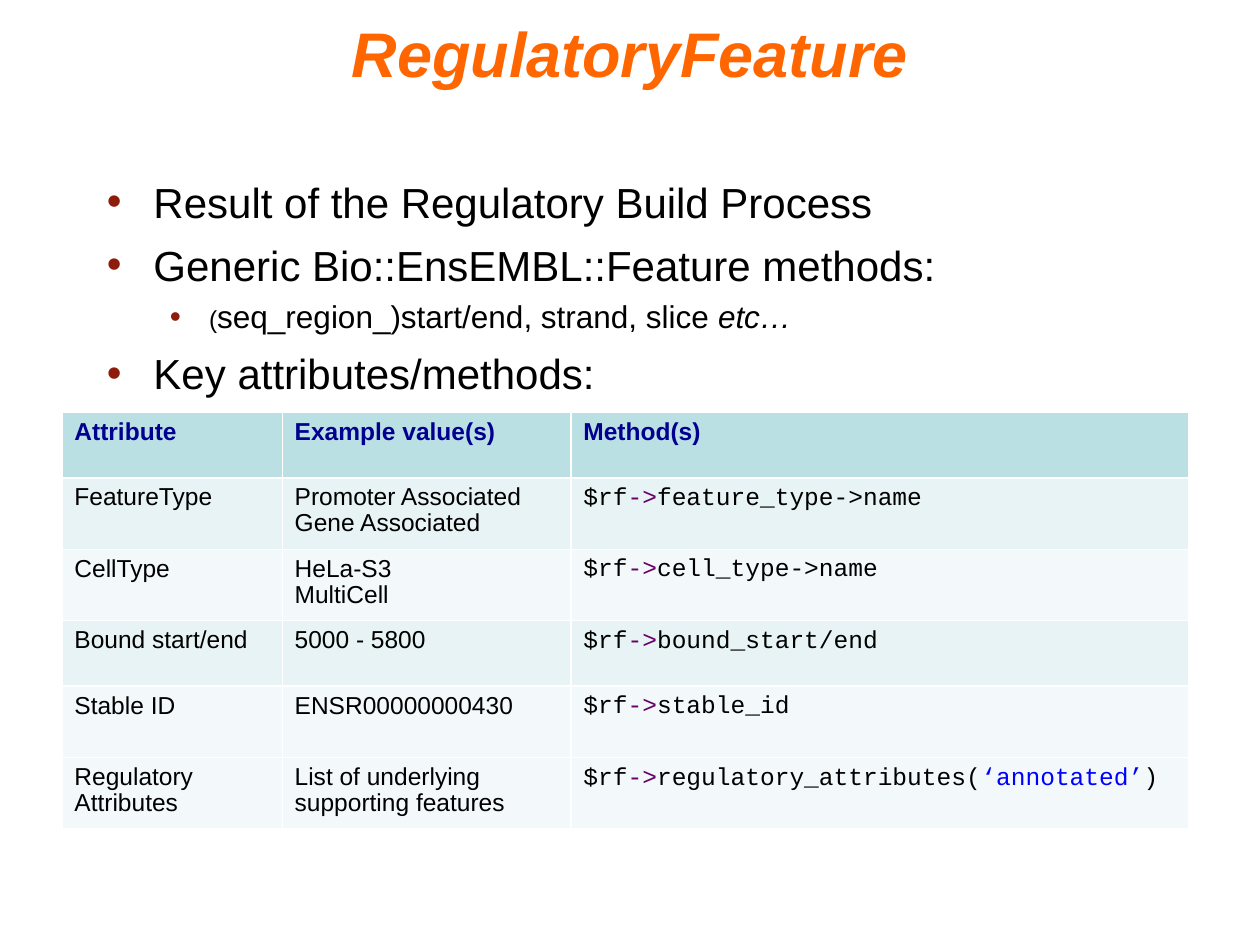
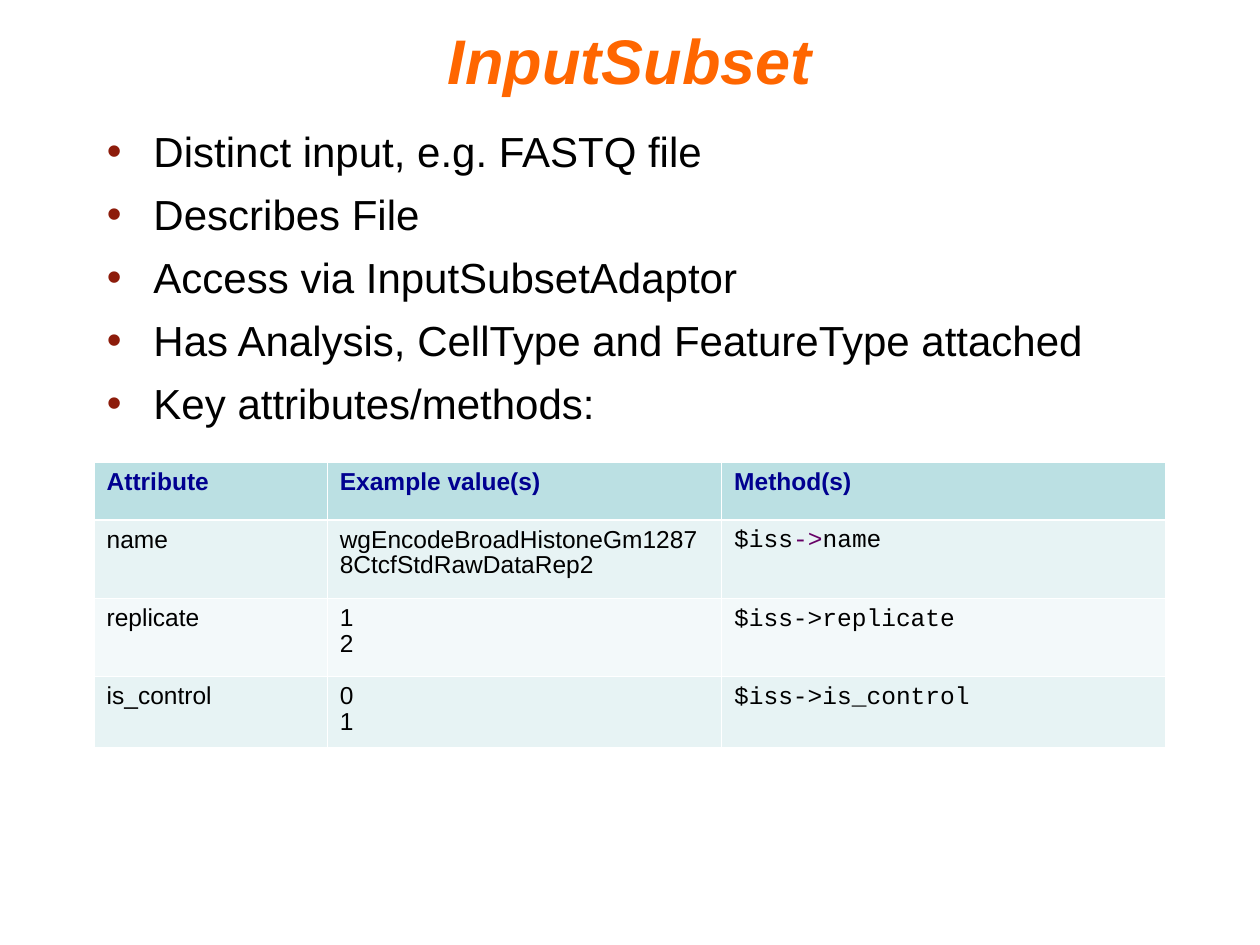
from lxml.etree import SubElement as Sub
from pptx import Presentation
from pptx.dml.color import RGBColor
from pptx.enum.text import MSO_ANCHOR as Anchor, MSO_AUTO_SIZE as AutoSize, PP_ALIGN as Align
from pptx.oxml.ns import qn
from pptx.util import Cm, Pt

SANS, MONO = "Arial", "Courier New"
BLACK, WHITE, ORANGE, RUST = "000000", "FFFFFF", "FF6600", "8D1C0B"
NAVY, PURPLE, BLUE = "000090", "660066", "0000FF"
HEADER, TINT, PALE = "BBE0E3", "E7F3F4", "F3F9FA"
COLUMN_NAMES = ["Attribute", "Example value(s)", "Method(s)"]
KEY_METHODS = "Key attributes/methods:"


def rgb(color):
    return RGBColor.from_string(color)


def add_span(para, text, size=14, font=SANS, color=BLACK, bold=False, italic=False):
    span = para.add_run()
    span.text = text
    span.font.size = Pt(size)
    span.font.name = font
    span.font.color.rgb = rgb(color)
    span.font.bold = bold
    span.font.italic = italic


def paragraphs(frame, count):
    while len(frame.paragraphs) < count:
        frame.add_paragraph()
    return frame.paragraphs


def call(variable, method, argument=None):
    spans = [(variable, BLACK), ("->", PURPLE), (method, BLACK)]
    if argument:
        spans += [("(", BLACK), (argument, BLUE), (")", BLACK)]
    return spans


def plain_call(text):
    return [(text, BLACK)]


class SlideBuilder:
    left, width = 1.9, 21.6
    levels = [
        {"margin": 0.94, "indent": -0.94, "before": 7.2, "bullet": 100},
        {"margin": 2.06, "indent": -0.79, "before": 4.5, "bullet": 129},
    ]

    def __init__(self):
        self.deck = Presentation()
        self.deck.slide_width, self.deck.slide_height = Cm(25.4), Cm(19.05)
        self.page = None

    def new_page(self):
        self.page = self.deck.slides.add_slide(self.deck.slide_layouts[1])

    def place(self, index, top, height, inset):
        box = self.page.placeholders[index]
        box.left, box.top = Cm(self.left), Cm(top)
        box.width, box.height = Cm(self.width), Cm(height)
        frame = box.text_frame
        frame.word_wrap = True
        frame.auto_size = AutoSize.NONE
        frame.vertical_anchor = Anchor.TOP
        frame.margin_top = Cm(inset)
        return frame

    def title(self, text, top):
        para = self.place(0, top, 2.54, 0.3).paragraphs[0]
        para.alignment = Align.CENTER
        add_span(para, text, size=36, color=ORANGE, bold=True, italic=True)

    def bullets(self, items, top, height):
        frame = self.place(1, top, height, 0.22)
        for number, (para, item) in enumerate(zip(paragraphs(frame, len(items)), items)):
            nested = not isinstance(item, str)
            self.bullet(para, int(nested), first=number == 0)
            for text, style in item if nested else [(item, {"size": 24})]:
                add_span(para, text, **style)

    def bullet(self, para, level, first):
        style = self.levels[level]
        para.level = level
        props = para._p.get_or_add_pPr()
        props.set("marL", str(Cm(style["margin"])))
        props.set("indent", str(Cm(style["indent"])))
        Sub(Sub(props, qn("a:buClr")), qn("a:srgbClr"), val=RUST)
        Sub(props, qn("a:buSzPct"), val=str(style["bullet"] * 1000))
        Sub(props, qn("a:buFont"), typeface=SANS)
        Sub(props, qn("a:buChar"), char="•")
        para.space_before = Pt(0 if first else style["before"])

    def table(self, left, top, widths, heights, rows, fills):
        grid = self.page.shapes.add_table(
            len(heights), len(widths), Cm(left), Cm(top), Cm(sum(widths)), Cm(sum(heights))
        ).table
        for column, width in zip(grid.columns, widths):
            column.width = Cm(width)
        for row, height in zip(grid.rows, heights):
            row.height = Cm(height)
        for r, (values, fill) in enumerate(zip([COLUMN_NAMES] + rows, [HEADER] + fills)):
            for c, value in enumerate(values):
                cell = grid.cell(r, c)
                self.fill_cell(cell, value, header=r == 0)
                self.borders(cell, top=1.5 if r == 1 else 0.75, bottom=1.5 if r == 0 else 0.75)
                cell.fill.solid()
                cell.fill.fore_color.rgb = rgb(fill)

    def fill_cell(self, cell, value, header):
        cell.margin_left = cell.margin_right = Cm(0.25)
        cell.margin_top, cell.margin_bottom = Cm(0.15), Cm(0.13)
        cell.vertical_anchor = Anchor.TOP
        if isinstance(value, list):
            para = cell.text_frame.paragraphs[0]
            para.line_spacing = 0.96
            for text, color in value:
                add_span(para, text, font=MONO, color=color)
            return
        lines = value.split("\n")
        for para, line in zip(paragraphs(cell.text_frame, len(lines)), lines):
            para.line_spacing = 0.94
            add_span(para, line, color=NAVY if header else BLACK, bold=header)

    def borders(self, cell, top, bottom):
        props = cell._tc.get_or_add_tcPr()
        for side, points in {"L": 0.75, "R": 0.75, "T": top, "B": bottom}.items():
            line = Sub(props, qn(f"a:ln{side}"), w=str(Pt(points)))
            Sub(Sub(line, qn("a:solidFill")), qn("a:srgbClr"), val=WHITE)

    def save(self):
        self.deck.save("out.pptx")


def regulatory_feature(builder):
    builder.new_page()
    builder.title("RegulatoryFeature", top=0)
    builder.bullets(
        [
            "Result of the Regulatory Build Process",
            "Generic Bio::EnsEMBL::Feature methods:",
            [
                ("(", {"size": 14}),
                ("seq_region_)start/end, strand, slice ", {"size": 18}),
                ("etc…", {"size": 18, "italic": True}),
            ],
            KEY_METHODS,
        ],
        top=3.33,
        height=4.8,
    )
    builder.table(
        left=1.25,
        top=8.31,
        widths=[4.44, 5.82, 12.45],
        heights=[1.32, 1.44, 1.44, 1.32, 1.44, 1.44],
        rows=[
            ["FeatureType", "Promoter Associated\nGene Associated", call("$rf", "feature_type->name")],
            ["CellType", "HeLa-S3\nMultiCell", call("$rf", "cell_type->name")],
            ["Bound start/end", "5000 - 5800", call("$rf", "bound_start/end")],
            ["Stable ID", "ENSR00000000430", call("$rf", "stable_id")],
            [
                "Regulatory Attributes",
                "List of underlying supporting features",
                call("$rf", "regulatory_attributes", "‘annotated’"),
            ],
        ],
        fills=[TINT, PALE, TINT, PALE, PALE],
    )


def input_subset(builder):
    builder.new_page()
    builder.title("InputSubset", top=0.13)
    builder.bullets(
        [
            "Distinct input, e.g. FASTQ file",
            "Describes File",
            "Access via InputSubsetAdaptor",
            "Has Analysis, CellType and FeatureType attached",
            KEY_METHODS,
        ],
        top=2.31,
        height=14.2,
    )
    builder.table(
        left=1.9,
        top=9.32,
        widths=[4.7, 7.95, 8.94],
        heights=[1.16, 1.58, 1.58, 1.44],
        rows=[
            ["name", "wgEncodeBroadHistoneGm12878CtcfStdRawDataRep2", call("$iss", "name")],
            ["replicate", "1\n2", plain_call("$iss->replicate")],
            ["is_control", "0\n1", plain_call("$iss->is_control")],
        ],
        fills=[TINT, PALE, TINT],
    )


def main():
    builder = SlideBuilder()
    regulatory_feature(builder)
    input_subset(builder)
    builder.save()


if __name__ == "__main__":
    main()
